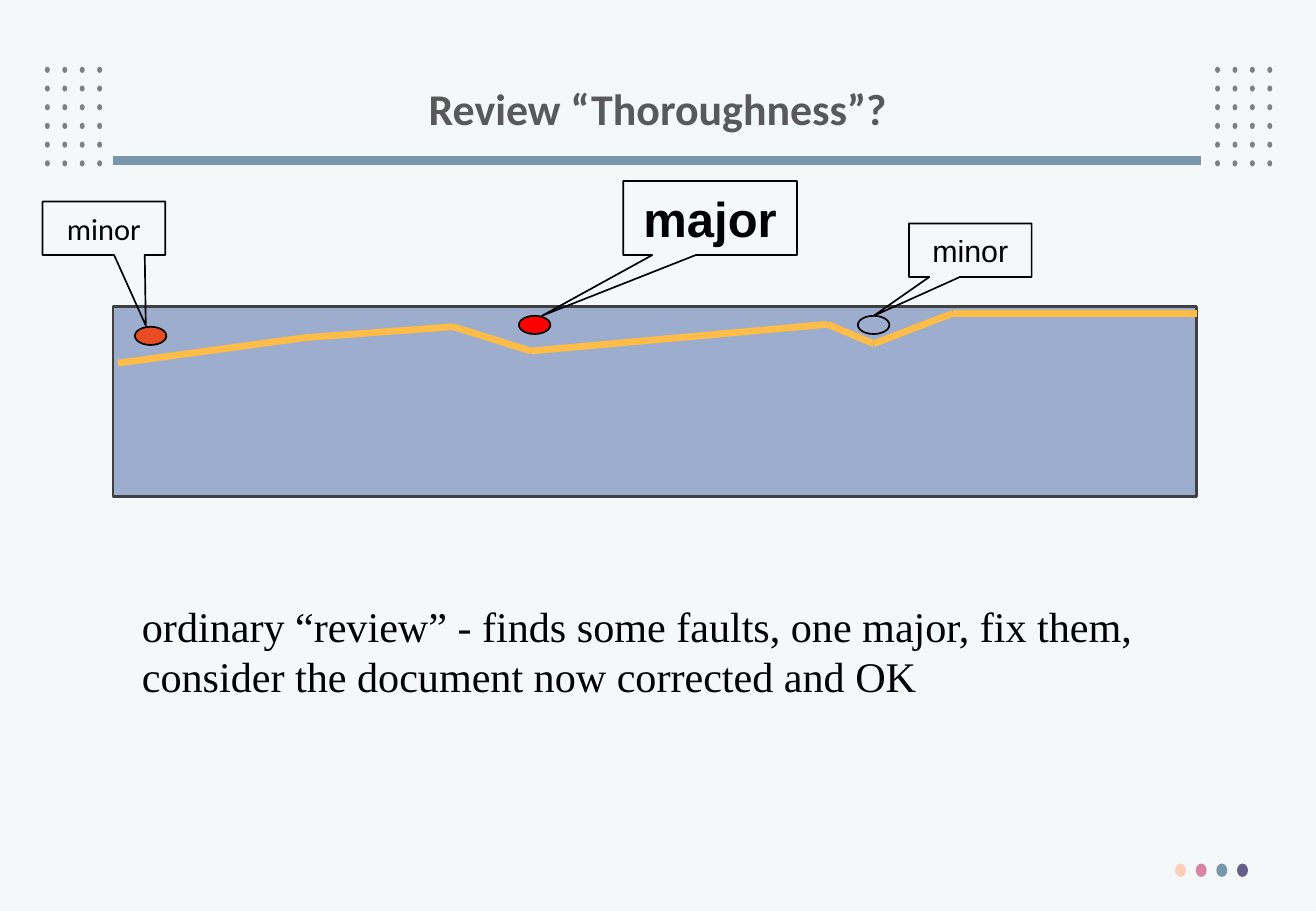
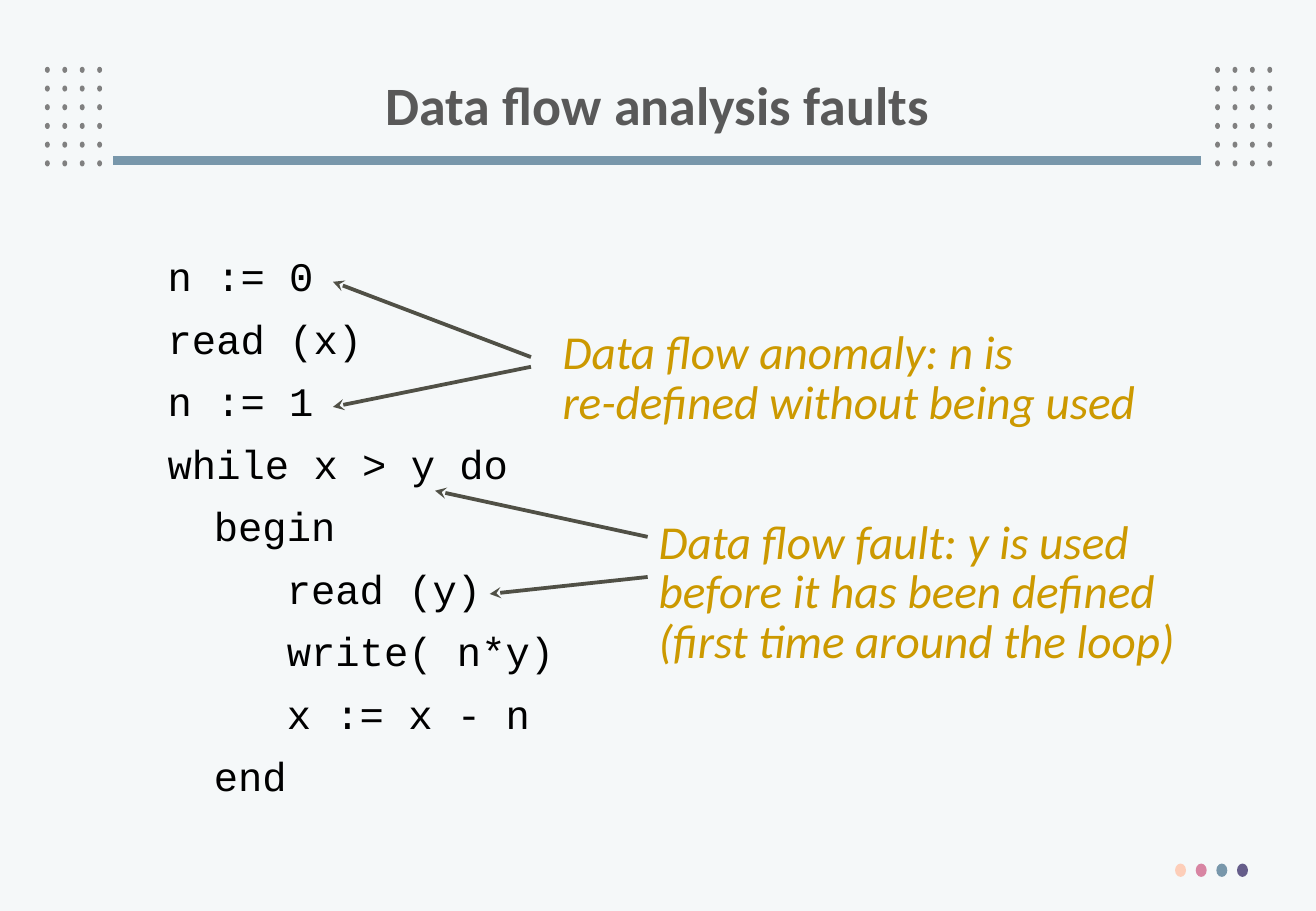
from lxml.etree import SubElement
from pptx import Presentation
from pptx.dml.color import RGBColor
from pptx.enum.shapes import MSO_CONNECTOR, MSO_SHAPE
from pptx.enum.text import MSO_ANCHOR, MSO_AUTO_SIZE, PP_ALIGN
from pptx.oxml.ns import qn
from pptx.util import Inches, Pt

C = {
    "bg": "F5F8F9", "title": "595959", "dot": "808080", "rule": "7897AB",
    "peach": "FDCEB9", "pink": "D885A3", "violet": "655D8A",
    "text": "000000", "document": "9CADCE", "edge": "404040",
    "level": "FFBD47", "major": "FF0000", "minor": "E84C22",
    "note": "CC9900", "arrow": "505046",
}


def rgb(name):
    return RGBColor.from_string(C[name])


def box(x, y, w, h):
    return [Inches(v) for v in (x, y, w, h)]


def write(tf, lines, size, font, color="text", bold=False, italic=False,
          align=PP_ALIGN.LEFT, spacing=None, before=None, inset=(0.1, 0.05),
          anchor=MSO_ANCHOR.TOP, wrap=False):
    """Fill a text frame, one paragraph for each (text, indent) or text."""
    tf.word_wrap, tf.auto_size, tf.vertical_anchor = wrap, MSO_AUTO_SIZE.NONE, anchor
    tf.margin_left = tf.margin_right = Inches(inset[0])
    tf.margin_top = tf.margin_bottom = Inches(inset[1])
    for i, line in enumerate(lines):
        text, indent = (line, 0) if isinstance(line, str) else line
        p = tf.add_paragraph() if i else tf.paragraphs[0]
        p.alignment, p.line_spacing, p.space_before = align, spacing, before
        if indent:
            p._p.get_or_add_pPr().set("marL", str(Inches(indent)))
        r = p.add_run()
        r.text = text
        f = r.font
        f.name, f.size, f.bold, f.italic = font, Pt(size), bold, italic
        f.color.rgb = rgb(color)


def add_text(s, at, lines, **fmt):
    write(s.shapes.add_textbox(*box(*at)).text_frame, lines, **fmt)


def add_shape(shapes, kind, at, fill=None, line=None, width=1):
    sp = shapes.add_shape(kind, *box(*at))
    sp.shadow.inherit = False
    if fill:
        sp.fill.solid()
        sp.fill.fore_color.rgb = rgb(fill)
    else:
        sp.fill.background()
    if line:
        sp.line.color.rgb = rgb(line)
        sp.line.width = Pt(width)
    else:
        sp.line.fill.background()
    return sp


def add_line(shapes, start, end, color, width, arrow=False):
    cn = shapes.add_connector(MSO_CONNECTOR.STRAIGHT, *box(*start, *end))
    cn.line.color.rgb = rgb(color)
    cn.line.width = Pt(width)
    spPr = cn.element.spPr
    if arrow:
        SubElement(spPr.find(qn("a:ln")), qn("a:tailEnd"), type="stealth")
    SubElement(spPr, qn("a:effectLst"))
    return cn


# Shared look: background, dot grids, rule and footer dots
def dot_grid(shapes, x, y, w=0.43, h=0.77, cols=4, rows=6):
    for row in range(rows):
        for col in range(cols):
            at = (x + col * w / (cols - 1), y + row * h / (rows - 1), 0.04, 0.05)
            add_shape(shapes, MSO_SHAPE.OVAL, at, "dot")


def decorate_layout(layout, s):
    """Draw the decoration on slide s, then move it to its layout."""
    layout.background.fill.solid()
    layout.background.fill.fore_color.rgb = rgb("bg")
    for ph in list(layout.placeholders)[1:]:
        ph.element.getparent().remove(ph.element)
    grids = s.shapes.add_group_shape()
    for x in (0.37, 10):
        dot_grid(grids.shapes, x, 0.55)
    rule = add_line(s.shapes, (9.88, 1.32), (0.93, 1.32), "rule", 5.25)
    footer = s.shapes.add_group_shape()
    for i, color in enumerate(("peach", "pink", "rule", "violet")):
        add_shape(footer.shapes, MSO_SHAPE.OVAL, (9.67 + 0.17 * i, 7.11, 0.09, 0.11), color)
    for part in (grids, rule, footer):
        layout.shapes.element.append(part.element)


def set_title(s, text, at, size):
    title = s.shapes.title
    title.left, title.top, title.width, title.height = box(*at)
    write(title.text_frame, [text], size=size, font="Calibri", color="title",
          bold=True, align=PP_ALIGN.CENTER, spacing=0.9,
          anchor=MSO_ANCHOR.MIDDLE, wrap=True)


# Review slide
def document(s, x, y, w, h):
    """Document block with the level the review reaches across its top."""
    add_shape(s.shapes, MSO_SHAPE.RECTANGLE, (x, y, w, h), "document", "edge", 1.75)
    level = [(0.04, 0.47), (1.58, 0.26), (2.8, 0.17), (3.44, 0.37), (5.88, 0.15),
             (6.26, 0.31), (6.91, 0.06), (w, 0.06)]
    points = [(x + dx, y + dy) for dx, dy in level]
    g = s.shapes.add_group_shape()
    for start, end in zip(points, points[1:]):
        add_line(g.shapes, start, end, "level", 4)


def finding(s, label, at, tip, fault, fill=None, **fmt):
    """Fault marker with a callout whose pointer ends at tip."""
    g = s.shapes.add_group_shape()
    add_shape(g.shapes, MSO_SHAPE.OVAL, (*fault, 0.26, 0.15), fill, "text")
    x, y, w, h = at
    sp = add_shape(g.shapes, MSO_SHAPE.RECTANGULAR_CALLOUT, at, line="text")
    sp.adjustments[0] = (tip[0] - x) / w - 0.5
    sp.adjustments[1] = (tip[1] - y) / h - 0.5
    write(sp.text_frame, [label], align=PP_ALIGN.CENTER, anchor=MSO_ANCHOR.MIDDLE, **fmt)


def review_slide(s):
    set_title(s, "Review “Thoroughness”?", (0.54, 0.17, 9.75, 1.5), 26)
    add_text(s, (1.07, 4.89, 8.4, 0.94),
             ["ordinary “review” - finds some faults, one major, fix them,",
              "consider the document now corrected and OK"],
             size=25, font="Times New Roman")
    document(s, 0.93, 2.52, 8.92, 1.57)
    finding(s, "major", (5.13, 1.49, 1.43, 0.61), (4.46, 2.6), (4.27, 2.6),
            "major", size=29, font="Arial", bold=True)
    finding(s, "minor", (7.48, 1.84, 1.01, 0.44), (7.19, 2.6), (7.06, 2.6),
            size=18, font="Arial")
    finding(s, "minor", (0.35, 1.66, 1.01, 0.44), (1.2, 2.68), (1.11, 2.69),
            "minor", size=18, font="Calibri")


# Data flow slide
def code_listing(s, at):
    block, body = 0.38, 0.98
    add_text(s, at,
             ["n := 0", "read (x)", "n := 1", "while x > y do", ("begin", block),
              ("read (y)", body), ("write( n*y)", body), ("x := x - n", body),
              ("end", block)],
             size=24, font="Courier New", spacing=0.88, before=Pt(11.7),
             inset=(0.07, 0.03), wrap=True)


def fault_note(s, at, lines, arrows):
    """Remark with arrows to the code lines it is about."""
    add_text(s, at, lines, size=28, font="Calibri", color="note", italic=True,
             spacing=0.87, inset=(0.07, 0.03))
    for start, end in arrows:
        add_line(s.shapes, start, end, "arrow", 2.25, arrow=True)


def data_flow_slide(s):
    set_title(s, "Data flow analysis faults", (0.74, 0.4, 9.34, 0.98), 32)
    code_listing(s, (1.31, 2.09, 3.59, 4.64))
    fault_note(s, (4.56, 2.69, 4.9, 0.88),
               ["Data flow anomaly: n is", "re-defined without being used"],
               [((4.37, 3.02), (2.74, 3.35)), ((4.37, 2.94), (2.74, 2.32))])
    fault_note(s, (5.35, 4.25, 4.56, 1.29),
               ["Data flow fault: y is used", "before it has been defined",
                "(first time around the loop)"],
               [((5.33, 4.42), (3.58, 4.04)), ((5.33, 4.75), (4.03, 4.89))])


def main():
    prs = Presentation()
    prs.slide_width, prs.slide_height = Inches(10.83), Inches(7.5)
    layout = prs.slide_layouts[5]
    slides = [prs.slides.add_slide(layout) for _ in range(2)]
    decorate_layout(layout, slides[0])
    review_slide(slides[0])
    data_flow_slide(slides[1])
    prs.save("out.pptx")


if __name__ == "__main__":
    main()
